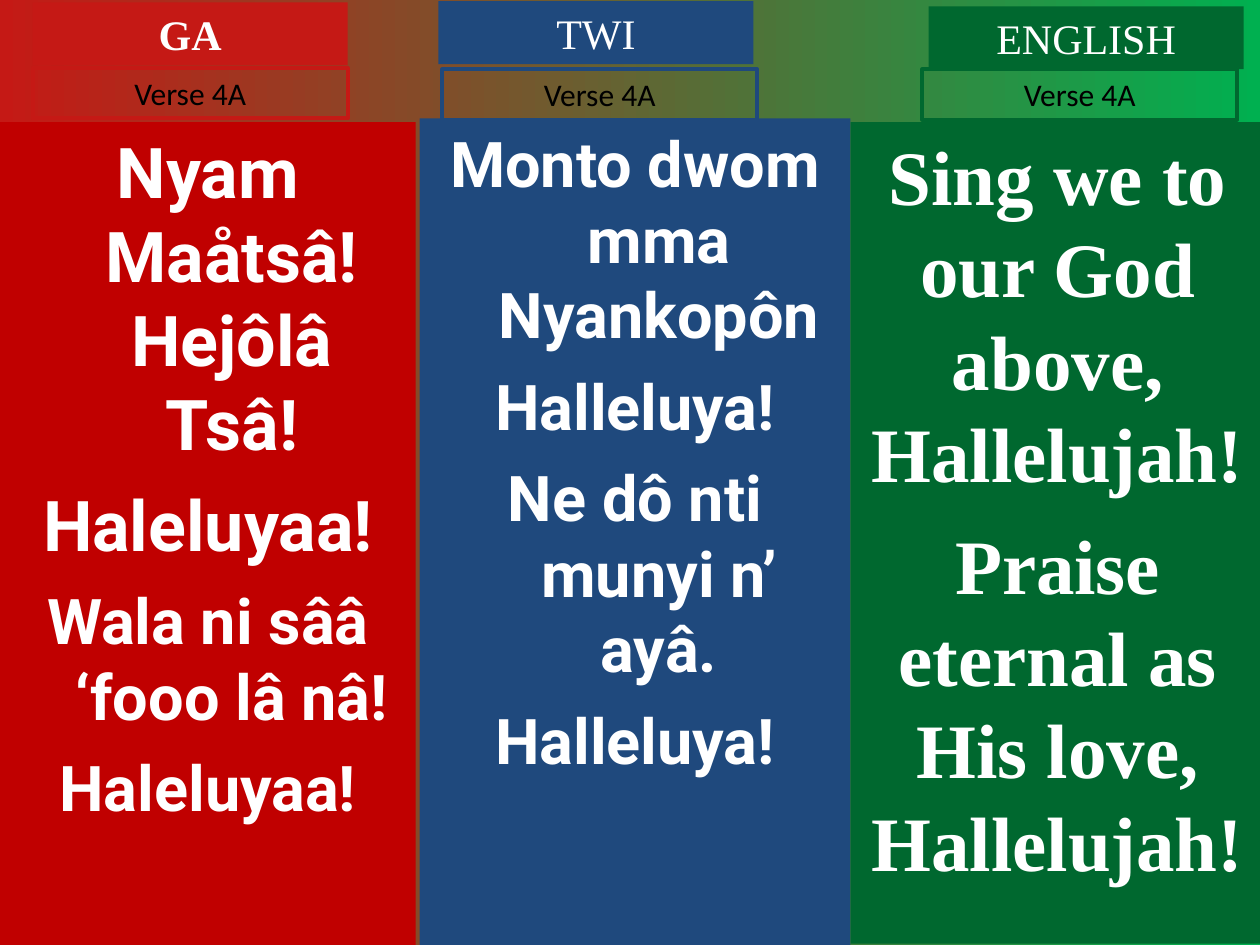
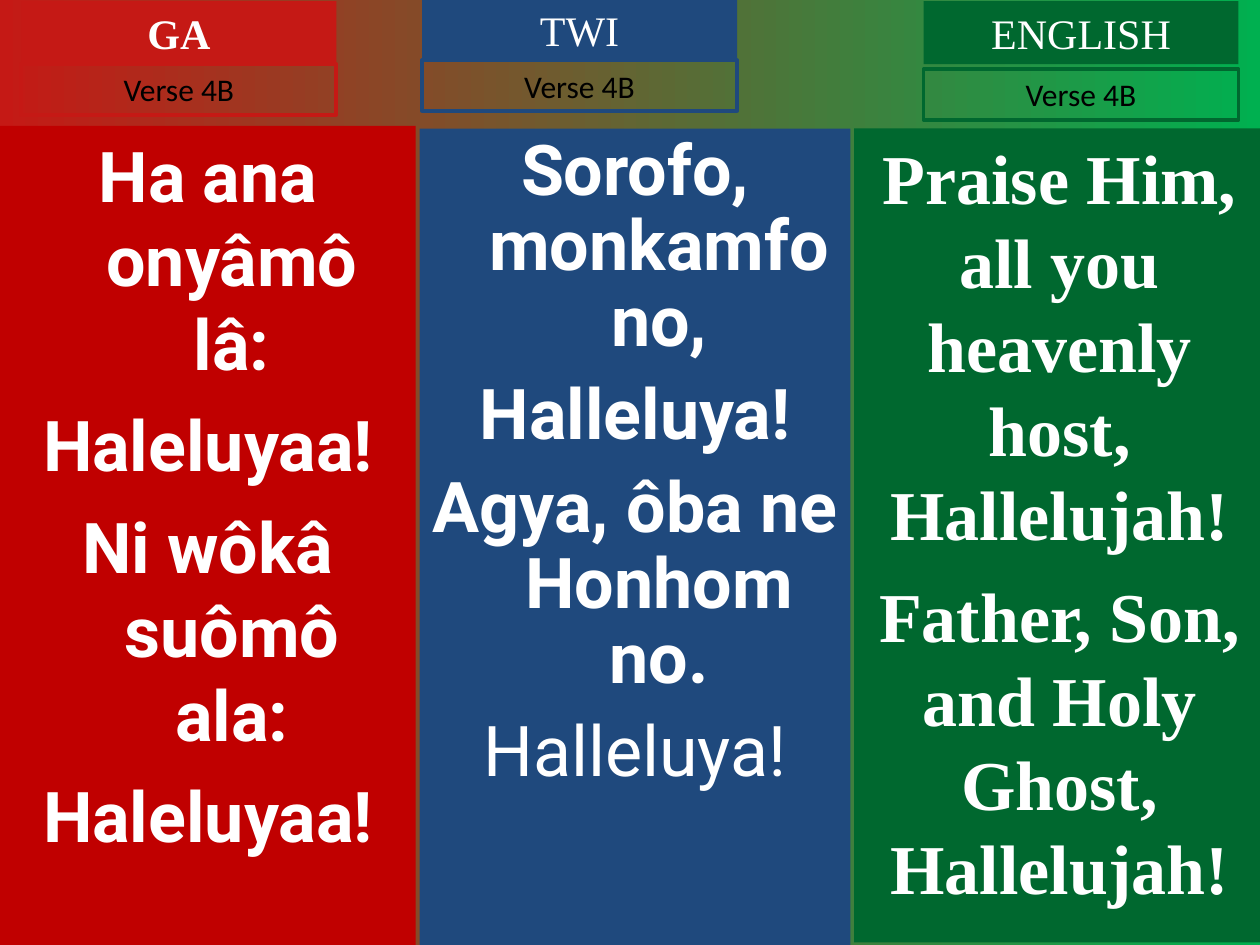
from dataclasses import dataclass

import pptx
import pptx.dml.color
import pptx.enum.shapes
import pptx.enum.text
import pptx.util
from pptx.util import Inches

WHITE, BLACK = "FFFFFF", "000000"
BACKGROUND = ("C51915", "00B050")
SERIF, SANS, LABEL_FONT = "Times New Roman", "Roboto", "Calibri"
HANGING = Inches(0.38)
HEADER_WIDTH, TITLE_HEIGHT, LABEL_HEIGHT = Inches(2.5), Inches(0.5), Inches(0.4)


@dataclass(frozen=True)
class Language:
    title: str
    title_color: str
    panel_color: str
    font: str
    title_bold: bool = False
    hanging: bool = True


@dataclass(frozen=True)
class Line:
    text: str
    size: int = 40
    bold: bool = True


@dataclass(frozen=True)
class Column:
    """One language's part of a verse; places are in inches."""
    language: Language
    panel: tuple[float, float, float, float]
    title_at: tuple[float, float]
    label_at: tuple[float, float]
    lines: list[Line]
    line_spacing: float | None = None


@dataclass(frozen=True)
class Verse:
    label: str
    columns: list[Column]


GA = Language("GA", "C51915", "C00000", SANS, title_bold=True)
TWI = Language("TWI", "1F497D", "1F497D", SANS)
ENGLISH = Language("ENGLISH", "00682F", "00682F", SERIF, hanging=False)

VERSES = [
    Verse("Verse 4A", [
        Column(GA, (0, 0.97, 3.3, 6.53), (0.26, 0.02), (0.26, 0.54), [
            Line("Nyam Maåtsâ! Hejôlâ Tsâ!"),
            Line("Haleluyaa!"),
            Line("Wala ni sââ ‘fooo lâ nâ!", 36),
            Line("Haleluyaa!", 36),
        ]),
        Column(TWI, (3.33, 0.94, 3.42, 6.56), (3.48, 0.01), (3.51, 0.55), [
            Line("Monto dwom mma Nyankopôn", 36),
            Line("Halleluya!", 36),
            Line("Ne dô nti munyi n’ ayâ.", 36),
            Line("Halleluya!", 36),
        ]),
        Column(ENGLISH, (6.75, 0.97, 3.29, 6.52), (7.37, 0.05), (7.32, 0.55), [
            Line("Sing we to our God above, Hallelujah!", 44),
            Line("Praise eternal as His love, Hallelujah!", 44),
        ]),
    ]),
    Verse("Verse 4B", [
        Column(GA, (0, 1, 3.3, 6.5), (0.17, 0.01), (0.17, 0.51), [
            Line("Ha ana onyâmô lâ:"),
            Line("Haleluyaa!"),
            Line("Ni wôkâ suômô ala:"),
            Line("Haleluyaa!"),
        ]),
        Column(TWI, (3.33, 1.02, 3.42, 6.48), (3.35, -0.01), (3.35, 0.48), [
            Line("Sorofo, monkamfo no,"),
            Line("Halleluya!"),
            Line("Agya, ôba ne Honhom no."),
            Line("Halleluya!", bold=False),
        ], line_spacing=0.9),
        Column(ENGLISH, (6.78, 1.02, 3.26, 6.46), (7.33, 0.01), (7.33, 0.55), [
            Line("Praise Him, all you heavenly host, Hallelujah!"),
            Line("Father, Son, and Holy Ghost, Hallelujah!"),
        ]),
    ]),
]


def rgb(color: str) -> pptx.dml.color.RGBColor:
    return pptx.dml.color.RGBColor.from_string(color)


def add_box(s, left: int, top: int, width: int, height: int, *,
            fill: str | None = None, line: str | None = None, grow: bool = False):
    sp = s.shapes.add_shape(pptx.enum.shapes.MSO_SHAPE.RECTANGLE, left, top, width, height)
    sp.shadow.inherit = False
    if fill:
        sp.fill.solid()
        sp.fill.fore_color.rgb = rgb(fill)
    else:
        sp.fill.background()
    if line:
        sp.line.color.rgb = rgb(line)
        sp.line.width = pptx.util.Pt(2.25)
    else:
        sp.line.fill.background()
    tf = sp.text_frame
    tf.word_wrap = True
    tf.vertical_anchor = pptx.enum.text.MSO_ANCHOR.TOP
    if grow:
        tf.auto_size = pptx.enum.text.MSO_AUTO_SIZE.SHAPE_TO_FIT_TEXT
    return sp


def write(p, text: str, *, size: int, font: str, color: str = WHITE, bold: bool = False,
          space_before: float = 0, line_spacing: float | None = None,
          hanging: bool = False) -> None:
    p.alignment = pptx.enum.text.PP_ALIGN.CENTER
    p.space_before = pptx.util.Pt(space_before)
    if line_spacing:
        p.line_spacing = line_spacing
    if hanging:
        pPr = p._p.get_or_add_pPr()
        pPr.set("marL", str(HANGING))
        pPr.set("indent", str(-HANGING))
    r = p.add_run()
    r.text = text
    r.font.size = pptx.util.Pt(size)
    r.font.name = font
    r.font.bold = bold
    r.font.color.rgb = rgb(color)


def add_panel(s, column: Column) -> None:
    language = column.language
    tf = add_box(s, *map(Inches, column.panel), fill=language.panel_color).text_frame
    for i, line in enumerate(column.lines):
        p = tf.add_paragraph() if i else tf.paragraphs[0]
        write(p, line.text, size=line.size, font=language.font, bold=line.bold,
              space_before=line.size / 4 if i else 0,
              line_spacing=column.line_spacing, hanging=language.hanging)


def add_header(s, column: Column, label: str) -> None:
    language = column.language
    title = add_box(s, *map(Inches, column.title_at), HEADER_WIDTH, TITLE_HEIGHT,
                    fill=language.title_color, grow=True)
    write(title.text_frame.paragraphs[0], language.title, size=24, font=SERIF,
          bold=language.title_bold)
    tag = add_box(s, *map(Inches, column.label_at), HEADER_WIDTH, LABEL_HEIGHT,
                  line=language.title_color, grow=True)
    write(tag.text_frame.paragraphs[0], label, size=18, font=LABEL_FONT, color=BLACK)


def add_verse(prs, verse: Verse) -> None:
    s = prs.slides.add_slide(prs.slide_layouts[6])
    fill = s.background.fill
    fill.gradient()
    fill.gradient_angle = 0
    for stop, color in zip(fill.gradient_stops, BACKGROUND):
        stop.color.rgb = rgb(color)
    for column in verse.columns:
        add_panel(s, column)
    for column in verse.columns:
        add_header(s, column, verse.label)


def main() -> None:
    prs = pptx.Presentation()
    prs.slide_width, prs.slide_height = Inches(10), Inches(7.5)
    for verse in VERSES:
        add_verse(prs, verse)
    prs.save("out.pptx")


if __name__ == "__main__":
    main()
